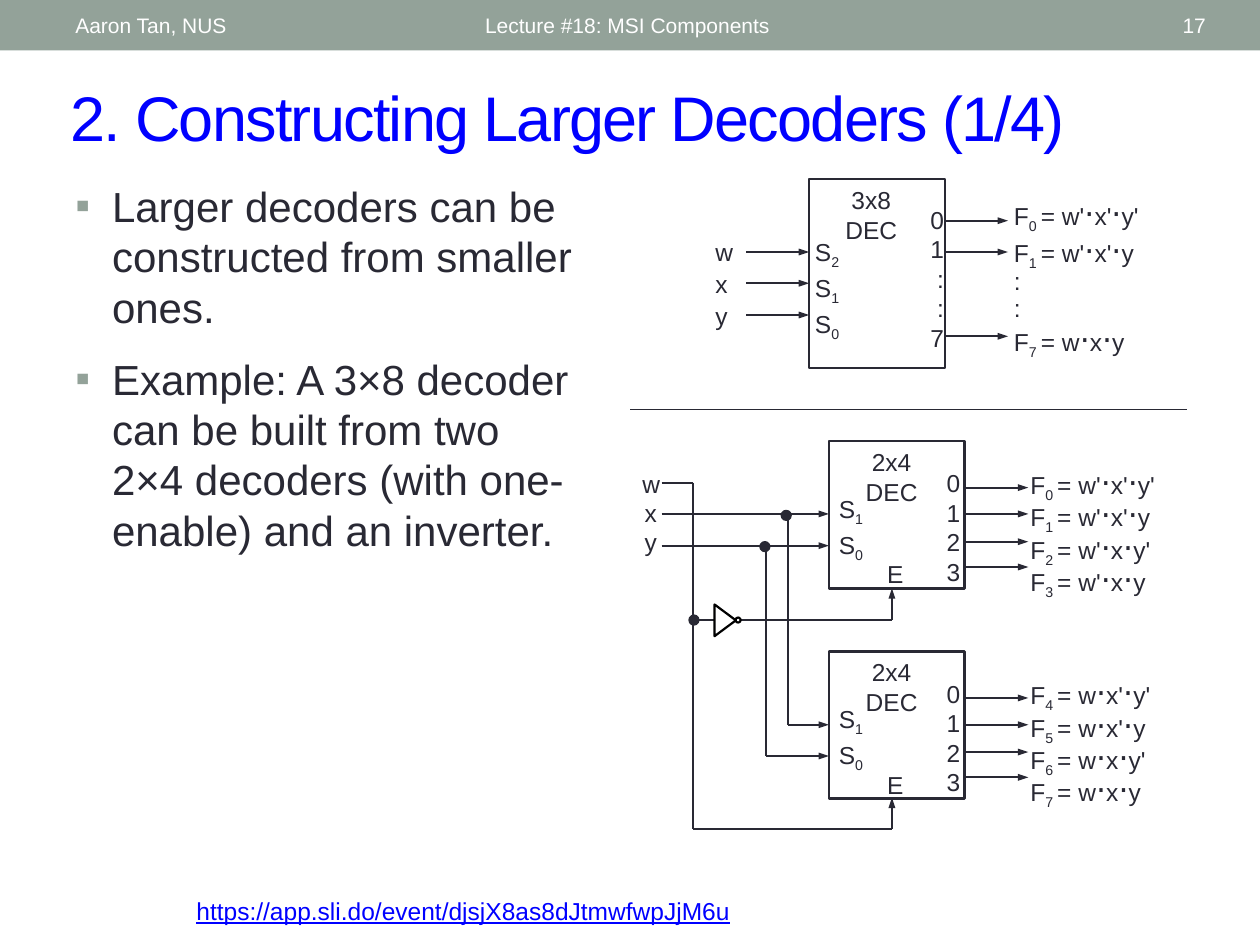
from itertools import groupby

from lxml import etree
from pptx import Presentation
from pptx.dml.color import RGBColor
from pptx.enum.shapes import MSO_CONNECTOR, MSO_SHAPE
from pptx.enum.text import MSO_ANCHOR, PP_ALIGN
from pptx.oxml.ns import qn
from pptx.util import Cm, Pt

LEFT, CENTER, RIGHT = PP_ALIGN.LEFT, PP_ALIGN.CENTER, PP_ALIGN.RIGHT
TOP, MIDDLE = MSO_ANCHOR.TOP, MSO_ANCHOR.MIDDLE
RECTANGLE, OVAL, MERGE = MSO_SHAPE.RECTANGLE, MSO_SHAPE.OVAL, MSO_SHAPE.FLOWCHART_MERGE
STRAIGHT = MSO_CONNECTOR.STRAIGHT
INK, SAGE, BLUE, WHITE, BLACK = "292934", "93A299", "0000FF", "FFFFFF", "000000"
GRID = 2.54  # the layout grid, in centimetres

# Content: text, left, top, width, height (grid units), colour, alignment, anchor, font
HEADINGS = [
    ("https://app.sli.do/event/djsjX8as8dJtmwfwpJjM6u", 1.46, 7.06, 8.04, 0.34,
     BLUE, LEFT, TOP, {"size": Pt(14), "underline": True}),
    ("Lecture #18: MSI Components", 3.75, 0.02, 4.5, 0.36, WHITE, LEFT, MIDDLE, {"size": Pt(12)}),
    ("17", 8.72, 0.02, 0.95, 0.36, WHITE, RIGHT, MIDDLE, {"size": Pt(12)}),
    ("Aaron Tan, NUS", 0.5, 0.02, 3.17, 0.36, WHITE, LEFT, MIDDLE, {"size": Pt(12)}),
]
TITLE = "2. Constructing Larger Decoders (1/4)"
BULLETS = [
    "Larger decoders can be constructed from smaller ones.",
    "Example: A 3×8 decoder can be built from two 2×4 decoders (with one-enable) and an inverter.",
]

# Label positions are (dx, dy, width, height) from the decoder's top left corner
LARGE = {"name": "3x8", "height": 1.5, "selects": ["S2", "S1", "S0"],
         "outputs": ["0", "1", ":", ":", "7"], "wires": [0.33, 0.58, 1.25], "spacing": 0.9,
         "select_at": (-0.05, 0.41, 0.47, 0.84), "output_at": (0.75, 0.16, 0.42, 1.26),
         "formula_at": (1.53, 0.09, 1.42, 1.33)}
SMALL = {"name": "2x4", "height": 1.17, "selects": ["S1", "S0"],
         "outputs": ["0", "1", "2", "3"], "wires": [0.37, 0.58, 0.8, 1], "spacing": 0.8,
         "select_at": (-0.02, 0.37, 0.47, 0.59), "output_at": (0.72, 0.17, 0.42, 1.03),
         "formula_at": (1.5, 0.17, 1.26, 1.06), "enable_at": (0.36, 0.89, 0.33, 0.33)}
DECODERS = [
    (LARGE, 6.42, 1.42, ["F0 = w'⋅x'⋅y'", "F1 = w'⋅x'⋅y", ":", ":", "F7 = w⋅x⋅y"]),
    (SMALL, 6.58, 3.5, ["F0 = w'⋅x'⋅y'", "F1 = w'⋅x'⋅y", "F2 = w'⋅x⋅y'", "F3 = w'⋅x⋅y"]),
    (SMALL, 6.58, 5.17, ["F4 = w⋅x'⋅y'", "F5 = w⋅x'⋅y", "F6 = w⋅x⋅y'", "F7 = w⋅x⋅y"]),
]
DECODER_WIDTH, OUTPUT_LENGTH = 1.08, 0.5

# Wires: x1, y1, x2, y2
ARROWS = [(5.92, y, 6.42, y) for y in (2, 2.25, 2.5)] + [
    (5.25, 4.08, 6.58, 4.08), (5.25, 4.33, 6.58, 4.33),
    (6.25, 5.75, 6.58, 5.75), (6.08, 6, 6.58, 6),
    (7.08, 4.92, 7.08, 4.67), (7.08, 6.58, 7.08, 6.33),
]
WIRES = [
    (5.88, 4.92, 7.08, 4.92), (6.25, 4.08, 6.25, 5.75), (6.08, 4.33, 6.08, 6),
    (5.25, 3.83, 5.5, 3.83), (5.5, 3.83, 5.5, 6.58), (5.5, 4.92, 5.67, 4.92),
    (5.5, 6.58, 7.08, 6.58),
]
JUNCTIONS = [(5.47, 4.88), (6.03, 4.3), (6.2, 4.05)]


def color(value):
    return RGBColor.from_string(value)


def lengths(*values):
    return [Cm(round(value * GRID, 2)) for value in values]


def char_style(text, index):
    """Subscript for the index of F or S, large for the dot operator."""
    if text[0] in "FS" and text[1:2].isdigit() and index in (1, 2):
        return "subscript"
    return "dot" if text[index] == "⋅" else "plain"


def format_run(run, ink, values):
    for name, value in {"name": "Arial", "size": Pt(14), **values}.items():
        setattr(run.font, name, value)
    run.font.color.rgb = color(ink)


def add_text(slide, lines, at, ink=INK, anchor=TOP, font=None, formula=False, **values):
    """Place a text box; values are paragraph attributes."""
    frame = slide.shapes.add_textbox(*lengths(*at)).text_frame
    frame.word_wrap = True
    frame.vertical_anchor = anchor
    for number, line in enumerate(lines):
        paragraph = frame.add_paragraph() if number else frame.paragraphs[0]
        for name, value in values.items():
            if number or name != "space_before":
                setattr(paragraph, name, value)
        pieces = [("plain", line)]
        if formula:
            groups = groupby(range(len(line)), lambda index: char_style(line, index))
            pieces = [(style, "".join(line[i] for i in group)) for style, group in groups]
        for style, text in pieces:
            run = paragraph.add_run()
            run.text = text
            format_run(run, ink, {"size": Pt(18)} if style == "dot" else font or {})
            if style == "subscript":
                run.font._element.set("baseline", "-25000")
    return frame


def add_shape(slide, kind, at, fill=None, line=None, width=1.5, rotation=0):
    shape = slide.shapes.add_shape(kind, *lengths(*at))
    shape.shadow.inherit = False
    shape.rotation = rotation
    if fill:
        shape.fill.solid()
        shape.fill.fore_color.rgb = color(fill)
    else:
        shape.fill.background()
    if line:
        shape.line.color.rgb = color(line)
        shape.line.width = Pt(width)
    else:
        shape.line.fill.background()


def add_line(slide, ends, arrow=False, width=1.25):
    connector = slide.shapes.add_connector(STRAIGHT, *lengths(*ends))
    connector.line.color.rgb = color(INK)
    connector.line.width = Pt(width)
    if arrow:
        etree.SubElement(connector.line._get_or_add_ln(), qn("a:tailEnd"),
                         type="triangle", w="sm", len="med")
    etree.SubElement(connector._element.spPr, qn("a:effectLst"))


def add_bullet(paragraph):
    properties = paragraph._p.get_or_add_pPr()
    indent = lengths(0.29)[0]
    properties.set("marL", str(indent))
    properties.set("indent", str(-indent))
    bullet_color = etree.SubElement(properties, qn("a:buClr"))
    etree.SubElement(bullet_color, qn("a:srgbClr"), val=SAGE)
    etree.SubElement(properties, qn("a:buFont"), typeface="Arial")
    etree.SubElement(properties, qn("a:buChar"), char="▪")


def add_decoder(slide, kind, left, top, formulas):
    def place(offset):
        dx, dy, width, height = offset
        return left + dx, top + dy, width, height

    add_shape(slide, RECTANGLE, (left, top, DECODER_WIDTH, kind["height"]), line=INK)
    add_text(slide, [kind["name"], "DEC"], place((0.08, 0, 0.83, 0.57)), alignment=CENTER)
    add_text(slide, kind["selects"], place(kind["select_at"]), formula=True,
             space_before=Pt(1.6))
    add_text(slide, kind["outputs"], place(kind["output_at"]), alignment=RIGHT)
    add_text(slide, formulas, place(kind["formula_at"]), formula=True,
             line_spacing=kind["spacing"])
    if "enable_at" in kind:
        add_text(slide, ["E"], place(kind["enable_at"]), alignment=CENTER)
    right = left + DECODER_WIDTH
    for dy in kind["wires"]:
        add_line(slide, (right, top + dy, right + OUTPUT_LENGTH, top + dy), arrow=True)


def main():
    presentation = Presentation()
    presentation.slide_width, presentation.slide_height = lengths(10, 7.5)
    slide = presentation.slides.add_slide(presentation.slide_layouts[6])

    # Header band, footer link and title
    add_shape(slide, RECTANGLE, (0, 0, 10, 0.4), fill=SAGE)
    for text, left, top, width, height, ink, alignment, anchor, font in HEADINGS:
        add_text(slide, [text], (left, top, width, height), ink, anchor, font,
                 alignment=alignment)
    title = add_text(slide, [TITLE], (0.46, 0.57, 9.21, 0.7), BLUE, MIDDLE, {"size": Pt(36)})
    title.paragraphs[0].runs[0].font._element.set("spc", "-100")

    # Bullets
    body = add_text(slide, BULLETS, (0.5, 1.38, 4.17, 5.54), font={"size": Pt(24)},
                    space_before=Pt(12.4))
    for paragraph in body.paragraphs:
        add_bullet(paragraph)

    # Decoders and their input names
    for decoder in DECODERS:
        add_decoder(slide, *decoder)
    add_text(slide, "wxy", (5.58, 1.83, 0.33, 0.84), space_before=Pt(1.6))
    add_text(slide, "wxy", (5, 3.67, 0.33, 0.8), alignment=CENTER)

    # Wiring, inverter and junctions
    for ends in ARROWS:
        add_line(slide, ends, arrow=True)
    for ends in WIRES:
        add_line(slide, ends)
    add_shape(slide, MERGE, (5.63, 4.84, 0.25, 0.17), line=BLACK, width=1.25, rotation=270)
    add_shape(slide, OVAL, (5.84, 4.9, 0.04, 0.04), line=BLACK, width=1.25)
    for left, top in JUNCTIONS:
        add_shape(slide, OVAL, (left, top, 0.08, 0.08), fill=INK, line=INK, width=0.75)

    # Divider between the two diagrams
    add_line(slide, (5, 3.25, 9.42, 3.25), width=0.75)
    presentation.save("out.pptx")


if __name__ == "__main__":
    main()
